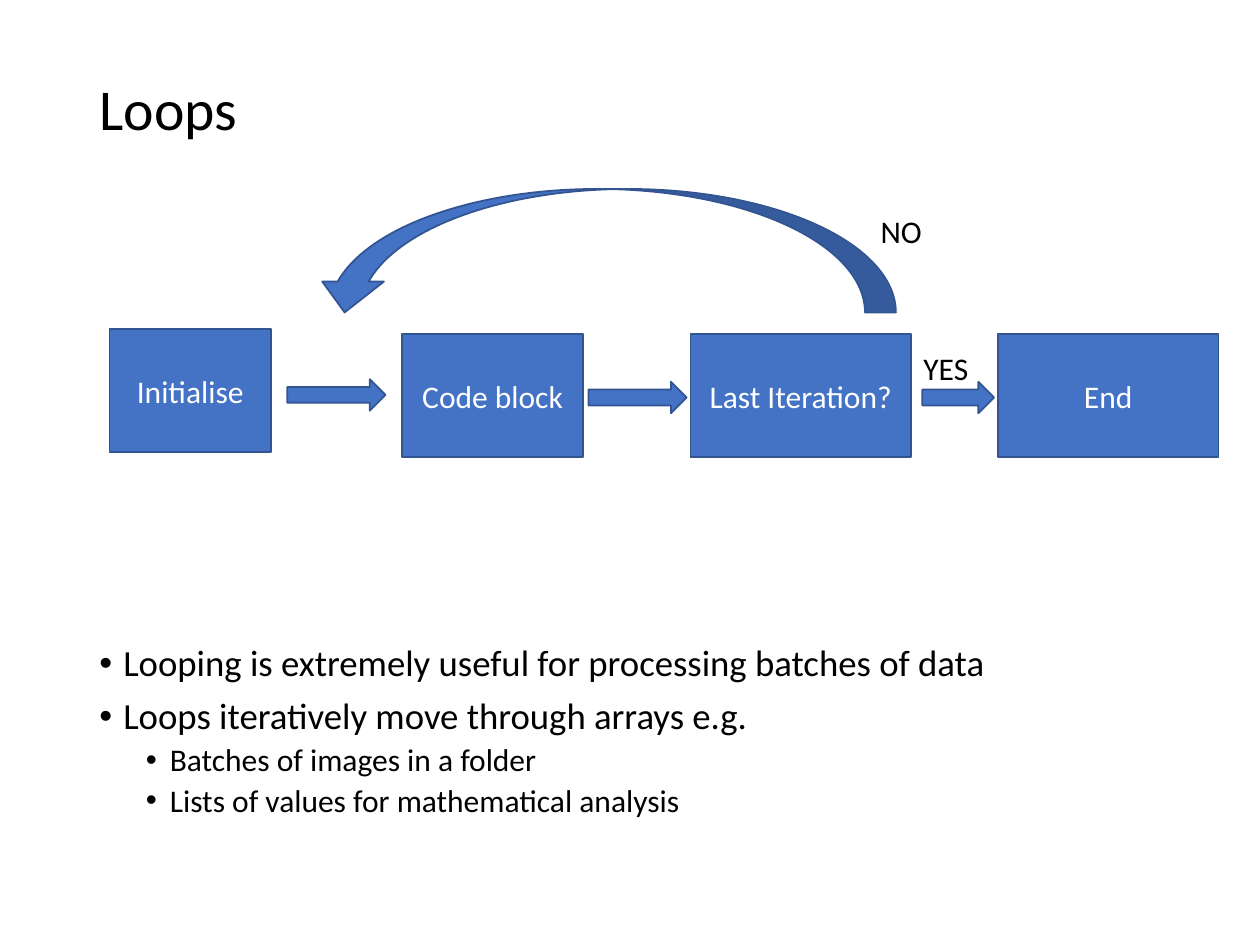
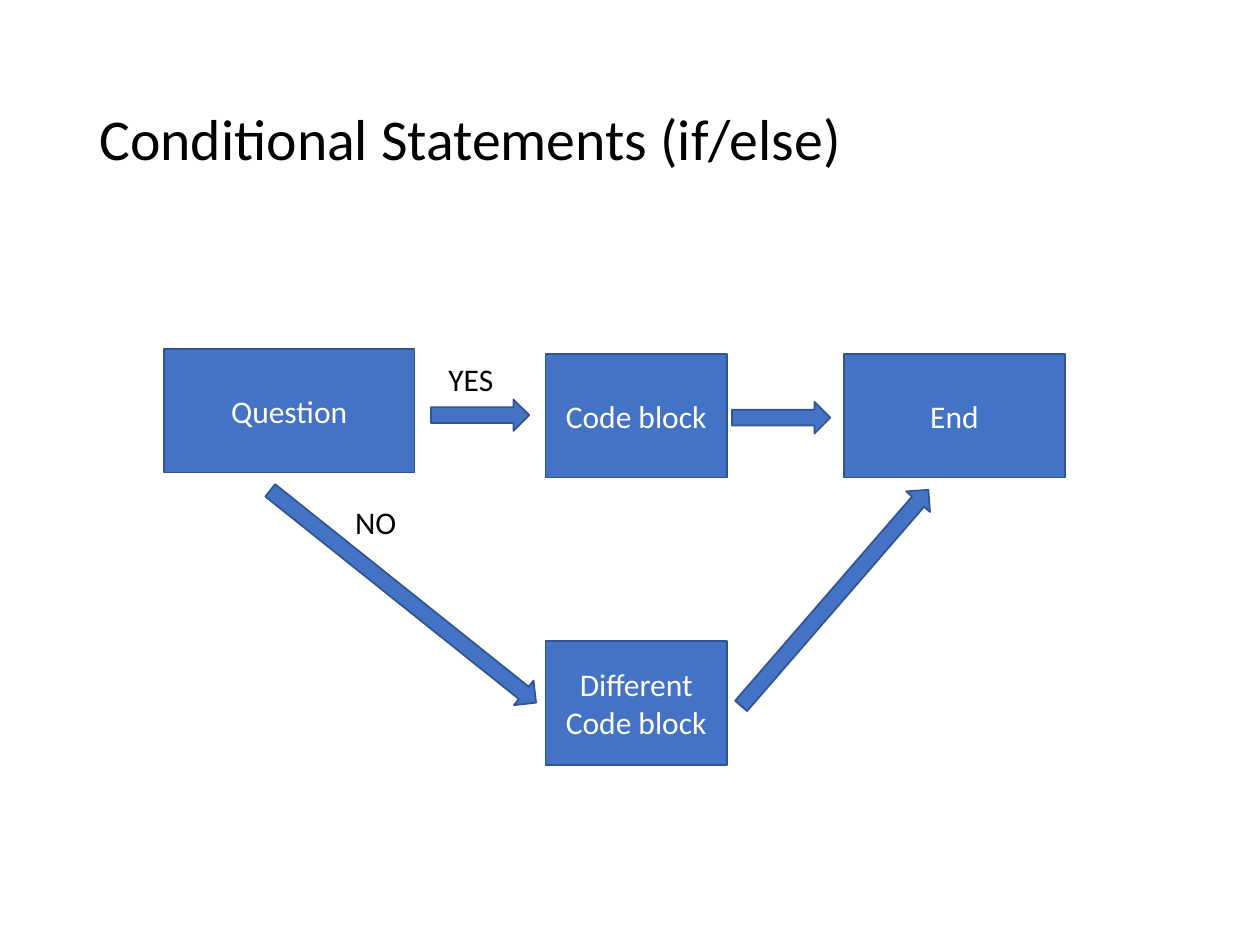
import pptx
import pptx.dml.color
import pptx.enum.shapes
import pptx.enum.text
import pptx.util
from lxml import etree
from pptx.oxml.ns import qn

Inches = pptx.util.Inches
Pt = pptx.util.Pt
RGBColor = pptx.dml.color.RGBColor
SHAPE = pptx.enum.shapes.MSO_SHAPE
ALIGN = pptx.enum.text.PP_ALIGN
ANCHOR = pptx.enum.text.MSO_ANCHOR

BLUE = RGBColor(0x44, 0x72, 0xC4)
DARK_BLUE = RGBColor(0x32, 0x54, 0x91)
BLACK = RGBColor(0, 0, 0)
WHITE = RGBColor(0xFF, 0xFF, 0xFF)
FONT = "Calibri"

STEP_HEIGHT = 0.98
ARROW_HEIGHT = 0.25
ARROW_WIDTH = 0.78
CODE_WIDTH = 1.44
WIDE_STEP = 1.75


class FlowDeck:
    def __init__(self):
        self.presentation = pptx.Presentation()
        self.presentation.slide_width = Inches(10)
        self.presentation.slide_height = Inches(7.5)
        self.slide = None

    def new_slide(self, title, title_height):
        self.slide = self.presentation.slides.add_slide(self.presentation.slide_layouts[6])
        frame = self.text_frame(0.69, 0.4, 8.62, title_height)
        frame.vertical_anchor = ANCHOR.MIDDLE
        frame.paragraphs[0].line_spacing = 0.9
        self.add_text(frame.paragraphs[0], title, 33)

    def text_frame(self, left, top, width, height):
        box = self.slide.shapes.add_textbox(Inches(left), Inches(top), Inches(width), Inches(height))
        box.text_frame.word_wrap = True
        return box.text_frame

    def add_text(self, paragraph, text, size=18, color=BLACK):
        run = paragraph.add_run()
        run.text = text
        run.font.name = FONT
        run.font.size = Pt(size)
        run.font.color.rgb = color

    def paragraphs(self, frame, count):
        return [frame.paragraphs[0]] + [frame.add_paragraph() for _ in range(count - 1)]

    def bullets(self, left, top, width, height, items):
        """Lay out (level, text) items as a two-level bulleted list."""
        frame = self.text_frame(left, top, width, height)
        for index, (paragraph, (level, text)) in enumerate(
                zip(self.paragraphs(frame, len(items)), items)):
            properties = paragraph._p.get_or_add_pPr()
            properties.set("marL", str(Inches(0.56 if level else 0.19)))
            properties.set("indent", str(Inches(-0.19)))
            etree.SubElement(properties, qn("a:buFont")).set("typeface", "Arial")
            etree.SubElement(properties, qn("a:buChar")).set("char", "•")
            paragraph.level = level
            paragraph.line_spacing = 0.9
            if index:
                paragraph.space_before = Pt(3.8 if level else 7.5)
            self.add_text(paragraph, text, 18 if level else 21)

    def block(self, kind, left, top, width, height):
        shape = self.slide.shapes.add_shape(
            kind, Inches(left), Inches(top), Inches(width), Inches(height))
        shape.shadow.inherit = False
        shape.fill.solid()
        shape.fill.fore_color.rgb = BLUE
        shape.line.color.rgb = DARK_BLUE
        shape.line.width = Pt(1)
        return shape

    def step(self, left, top, width, *lines):
        frame = self.block(SHAPE.RECTANGLE, left, top, width, STEP_HEIGHT).text_frame
        frame.word_wrap = True
        frame.vertical_anchor = ANCHOR.MIDDLE
        for paragraph, line in zip(self.paragraphs(frame, len(lines)), lines):
            paragraph.alignment = ALIGN.CENTER
            self.add_text(paragraph, line, color=WHITE)

    def arrow(self, left, top, width=ARROW_WIDTH, angle=0):
        self.block(SHAPE.RIGHT_ARROW, left, top, width, ARROW_HEIGHT).rotation = angle

    def return_arrow(self, left, top, width, height):
        """Draw a curved arrow that arches back to the left."""
        shape = self.block(SHAPE.CURVED_UP_ARROW, left, top, width, height)
        for flip in ("flipH", "flipV"):
            shape._element.spPr.find(qn("a:xfrm")).set(flip, "1")

    def label(self, left, top, text):
        self.add_text(self.text_frame(left, top, 1.09, 0.4).paragraphs[0], text)


def loops_slide(deck):
    deck.new_slide("Loops", 0.98)
    deck.bullets(0.69, 5.07, 8.8, 2.03, [
        (0, "Looping is extremely useful for processing batches of data"),
        (0, "Loops iteratively move through arrays e.g."),
        (1, "Batches of images in a folder"),
        (1, "Lists of values for mathematical analysis"),
    ])
    row_top = 2.65
    deck.step(0.87, 2.61, 1.28, "Initialise")
    deck.step(3.19, row_top, CODE_WIDTH, "Code block")
    deck.step(5.48, row_top, WIDE_STEP, "Last Iteration?")
    deck.step(7.92, row_top, WIDE_STEP, "End")
    deck.arrow(2.28, 3.01)
    deck.arrow(4.67, 3.03)
    deck.arrow(7.32, 3.03, 0.57)
    deck.label(6.89, 1.63, "NO")
    deck.return_arrow(2.49, 1.5, 4.62, 0.98)
    deck.label(7.23, 2.72, "YES")


def conditionals_slide(deck):
    deck.new_slide("Conditional Statements (if/else)", 1.45)
    row_top, code_left = 2.81, 4.33
    deck.step(1.3, 2.77, 1.99, "Question")
    deck.step(code_left, row_top, CODE_WIDTH, "Code block")
    deck.step(6.7, row_top, WIDE_STEP, "End")
    deck.arrow(3.42, 3.17)
    deck.arrow(5.81, 3.19)
    deck.label(2.72, 3.94, "NO")
    deck.label(3.46, row_top, "YES")
    deck.arrow(1.85, 4.61, 2.7, 38.6)
    deck.step(code_left, 5.09, CODE_WIDTH, "Different", "Code block")
    deck.arrow(5.49, 4.62, 2.27, 310.9)


def main():
    deck = FlowDeck()
    loops_slide(deck)
    conditionals_slide(deck)
    deck.presentation.save("out.pptx")


if __name__ == "__main__":
    main()
